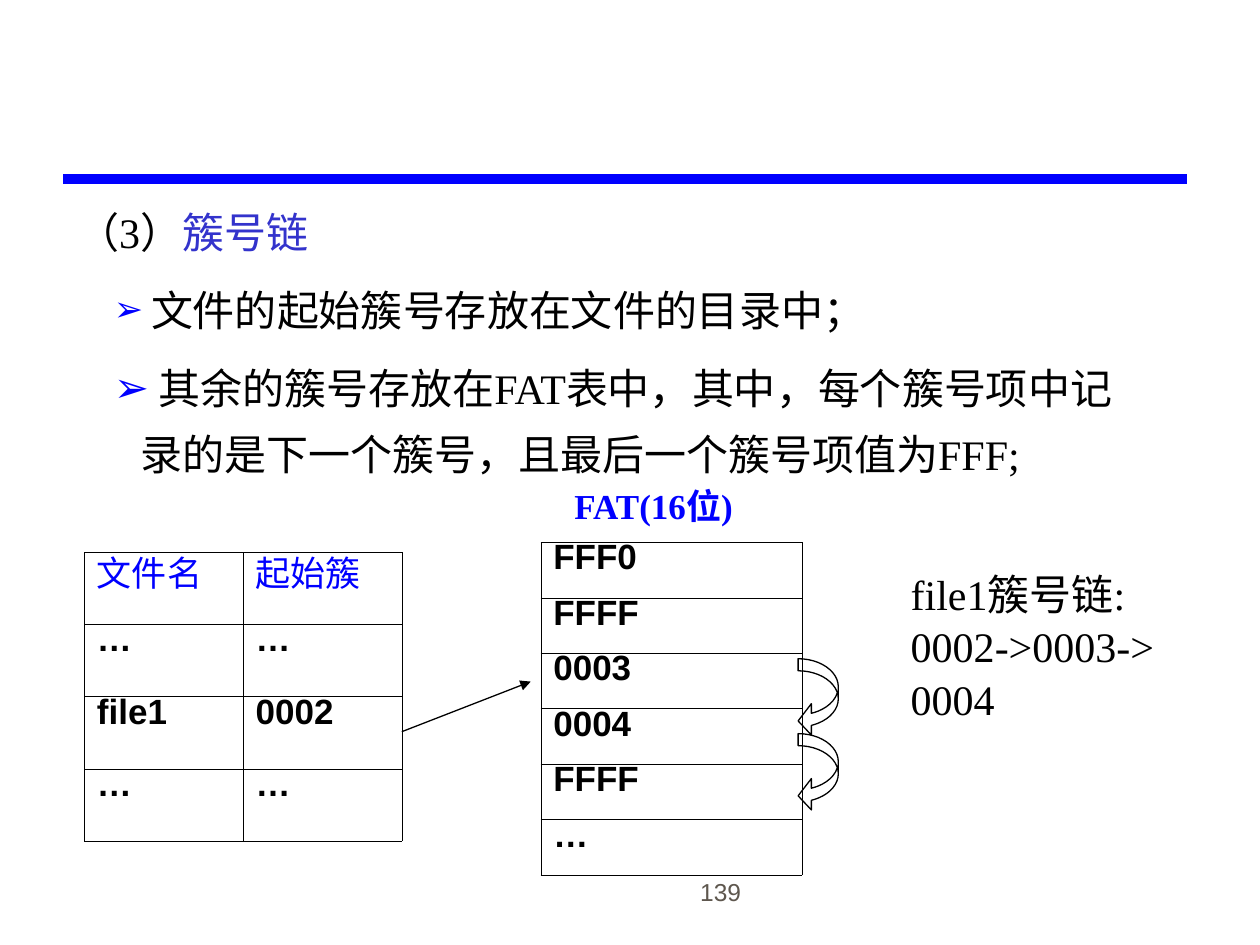
from dataclasses import dataclass
from lxml.etree import SubElement
from pptx import Presentation
from pptx.dml.color import RGBColor
from pptx.enum.shapes import MSO_CONNECTOR, MSO_SHAPE
from pptx.enum.text import MSO_ANCHOR, MSO_AUTO_SIZE, PP_ALIGN
from pptx.oxml.ns import qn
from pptx.util import Cm, Pt


@dataclass(frozen=True)
class Theme:
    serif: str = "Times New Roman"
    sans: str = "Arial"
    black: str = "000000"
    blue: str = "0000FF"
    indigo: str = "3333CC"
    grey: str = "5E574E"
    large: float = 24
    medium: float = 20
    small: float = 14
    rule: float = 6
    thin: float = 0.75
    hairline: float = 0.06


def apply(target, values):
    for name, value in values.items():
        setattr(target, name, value)


def add_xml(parent, tag, **attributes):
    return SubElement(parent, qn(tag), attributes)


class SlideBuilder:
    def __init__(self, deck, theme):
        self.theme = theme
        self.page = deck.slides.add_slide(deck.slide_layouts[1])
        title = self.page.shapes.title
        title.element.getparent().remove(title.element)

    def fill_paragraph(self, para, spans, **form):
        apply(para, {"space_before": Pt(0), "space_after": Pt(0.6), **form})
        for text, name, size, colour, bold in spans:
            span = para.add_run()
            span.text = text
            apply(span.font, {"name": name, "size": Pt(size), "bold": bold})
            span.font.color.rgb = RGBColor.from_string(colour)

    def body(self, place, items):
        box = self.page.placeholders[1]
        apply(box, dict(zip(("left", "top", "width", "height"), map(Cm, place))))
        frame = box.text_frame
        apply(frame, {"auto_size": MSO_AUTO_SIZE.NONE, "vertical_anchor": MSO_ANCHOR.TOP})
        for index, (bullet, spans) in enumerate(items):
            para = frame.add_paragraph() if index else frame.paragraphs[0]
            properties = para._p.get_or_add_pPr()
            if bullet:
                para.level = 1
                indents = {"marL": Cm(1.27), "indent": Cm(-0.53)}
                colour = add_xml(properties, "a:buClr")
                add_xml(colour, "a:srgbClr", val=self.theme.blue)
                add_xml(properties, "a:buChar", char=bullet)
            else:
                indents = {"marL": 0, "indent": 0}
                add_xml(properties, "a:buNone")
            for name, value in indents.items():
                properties.set(name, str(int(value)))
            self.fill_paragraph(para, spans, line_spacing=1.3,
                                space_before=Pt(6.6 if index else 0))

    def text(self, place, lines, style, frame_format, align=PP_ALIGN.LEFT):
        frame = self.page.shapes.add_textbox(*map(Cm, place)).text_frame
        apply(frame, frame_format)
        for index, line in enumerate(lines):
            para = frame.add_paragraph() if index else frame.paragraphs[0]
            self.fill_paragraph(para, [(line, *style)], alignment=align,
                                space_before=Pt(0.6 if index else 0))

    def table(self, place, rows, header_style=None):
        theme = self.theme
        cell_style = (theme.sans, theme.medium, theme.black, True)
        grid = self.page.shapes.add_table(len(rows), len(rows[0]), *map(Cm, place)).table
        apply(grid, {"first_row": False, "horz_banding": False})
        for row_index, row in enumerate(rows):
            style = header_style if header_style and row_index == 0 else cell_style
            for column_index, text in enumerate(row):
                cell = grid.cell(row_index, column_index)
                self.fill_paragraph(cell.text_frame.paragraphs[0], [(text, *style)],
                                    line_spacing=0.68)
                self.border(cell)
                cell.fill.background()

    def border(self, cell):
        properties = cell._tc.get_or_add_tcPr()
        for side in ("a:lnL", "a:lnR", "a:lnT", "a:lnB"):
            line = add_xml(properties, side, w=str(int(Pt(self.theme.hairline))))
            add_xml(add_xml(line, "a:solidFill"), "a:srgbClr", val=self.theme.black)

    def line(self, ends, colour, width, arrow=False):
        connector = self.page.shapes.add_connector(MSO_CONNECTOR.STRAIGHT, *map(Cm, ends))
        connector.line.color.rgb = RGBColor.from_string(colour)
        connector.line.width = Pt(width)
        properties = connector.element.spPr
        if arrow:
            add_xml(properties.find(qn("a:ln")), "a:tailEnd", type="triangle")
        add_xml(properties, "a:effectLst")

    def curved_arrow(self, place):
        arrow = self.page.shapes.add_shape(MSO_SHAPE.CURVED_LEFT_ARROW, *map(Cm, place))
        for index, value in enumerate((0.3, 0.78, 0.33)):
            arrow.adjustments[index] = value
        arrow.shadow.inherit = False
        arrow.fill.background()
        arrow.line.color.rgb = RGBColor.from_string(self.theme.black)
        arrow.line.width = Pt(self.theme.thin)


def main():
    deck = Presentation()
    apply(deck, {"slide_width": Cm(25.4), "slide_height": Cm(19.05)})
    theme = Theme()
    slide = SlideBuilder(deck, theme)
    plain = (theme.serif, theme.large, theme.black, False)
    fitted = {"word_wrap": False, "auto_size": MSO_AUTO_SIZE.SHAPE_TO_FIT_TEXT}

    slide.line((1.27, 3.61, 23.93, 3.61), theme.blue, theme.rule)
    slide.text((9.91, 17.12, 5.28, 1.27), ["139"],
               (theme.sans, theme.small, theme.grey, False),
               {"word_wrap": True, "vertical_anchor": MSO_ANCHOR.BOTTOM}, PP_ALIGN.RIGHT)
    slide.body((1.3, 3.73, 21.59, 6.4), [
        ("", [("（3）", *plain),
              ("簇号链", theme.serif, theme.large, theme.indigo, False)]),
        ("➢", [(" ", theme.serif, theme.medium, theme.black, False),
               ("文件的起始簇号存放在文件的目录中；", *plain)]),
        ("➢", [(" 其余的簇号存放在FAT表中，其中，每个簇号项中"
                "记录的是下一个簇号，且最后一个簇号项值为FFF;", *plain)]),
    ])
    slide.table((1.7, 11.13, 6.4, 5.82),
                [("文件名", "起始簇"), ("…", "…"), ("file1", "0002"), ("…", "…")],
                (theme.sans, theme.medium, theme.blue, False))
    slide.table((10.9, 10.93, 5.26, 6.71),
                [(entry,) for entry in ("FFF0", "FFFF", "0003", "0004", "FFFF", "…")])
    slide.text((11.33, 9.65, 4.14, 1.12), ["FAT(16位)"],
               (theme.serif, theme.medium, theme.blue, True), fitted)
    slide.line((8.1, 14.75, 10.7, 13.74), theme.black, theme.thin, arrow=True)
    for top in (13.28, 14.79):
        slide.curved_arrow((16.09, top, 0.81, 1.57))
    slide.text((18.11, 11.33, 5.41, 3.4), ["file1簇号链:", "0002->0003->", "0004"],
               plain, fitted)
    deck.save("out.pptx")


if __name__ == "__main__":
    main()
